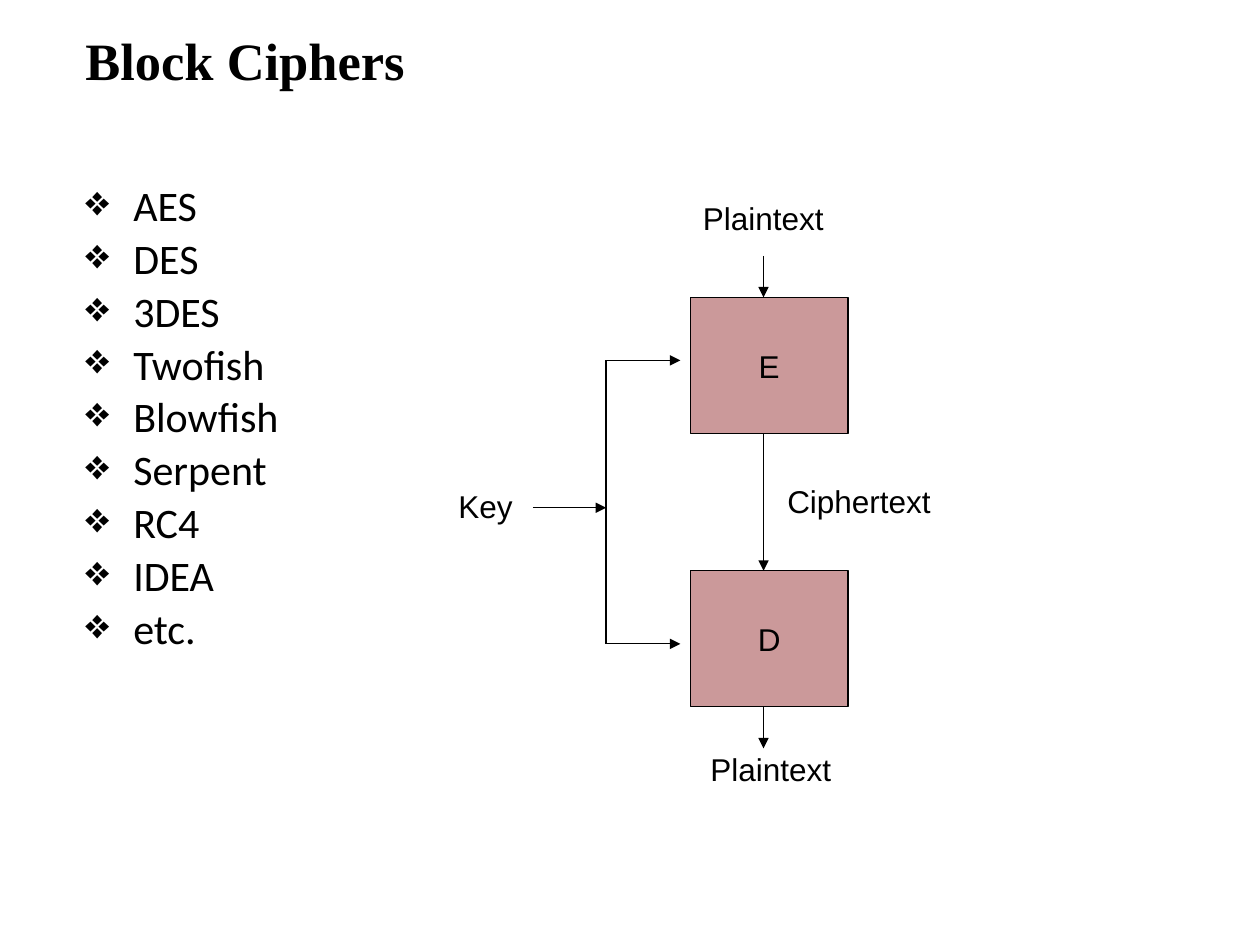
"""Build a slide on block ciphers with a list and a key flow diagram."""
from typing import NamedTuple

from lxml.etree import SubElement
from pptx import Presentation
from pptx.dml.color import RGBColor
from pptx.enum.shapes import MSO_CONNECTOR, MSO_SHAPE
from pptx.enum.text import MSO_ANCHOR, MSO_AUTO_SIZE, PP_ALIGN
from pptx.oxml.ns import qn
from pptx.util import Inches, Pt

BLACK = RGBColor(0, 0, 0)
ROSE = RGBColor(0xCB, 0x99, 0x9A)
FLOW = 6.06
FORK = 4.81
SIDE = 5.48
WIDE, HIGH = 1.25, 1.08
TOPS = {"E": 2.36, "D": 4.53}


class Label(NamedTuple):
    text: str
    left: float
    top: float
    width: float


class Line(NamedTuple):
    start: tuple[float, float]
    end: tuple[float, float]
    arrow: bool = True


CIPHERS = ["AES", "DES", "3DES", "Twofish", "Blowfish", "Serpent", "RC4", "IDEA", "etc."]
LABELS = [
    Label("Plaintext", SIDE, 1.53, 1.16),
    Label("Plaintext", 5.54, 5.9, 1.16),
    Label("Ciphertext", 6.15, 3.78, 1.34),
    Label("Key", 3.54, 3.82, 0.63),
]
LINES = [
    Line((FLOW, TOPS["E"] + HIGH), (FLOW, TOPS["D"])),
    Line((FLOW, TOPS["D"] + HIGH), (FLOW, 5.94)),
    Line((FLOW, 2.03), (FLOW, TOPS["E"])),
    Line((FORK, 5.11), (5.4, 5.11)),
    Line((FORK, 2.86), (5.4, 2.86)),
    Line((FORK, 2.86), (FORK, 5.11), arrow=False),
    Line((4.23, 4.03), (FORK, 4.03)),
]


def write(shape, text: str, *, font="Arial", size=18, bold=False, wrap=False,
          anchor=MSO_ANCHOR.TOP, align=PP_ALIGN.LEFT, grow=False) -> None:
    frame = shape.text_frame
    frame.text = text
    frame.word_wrap = wrap
    frame.vertical_anchor = anchor
    frame.auto_size = MSO_AUTO_SIZE.SHAPE_TO_FIT_TEXT if grow else MSO_AUTO_SIZE.NONE
    for para in frame.paragraphs:
        para.alignment = align
        for run in para.runs:
            run.font.name = font
            run.font.size = Pt(size)
            run.font.bold = bold
            run.font.color.rgb = BLACK


def add_text(slide, left: float, top: float, width: float, height: float, text: str, **style):
    box = slide.shapes.add_textbox(Inches(left), Inches(top), Inches(width), Inches(height))
    write(box, text, **style)
    return box


def add_list(slide, items: list[str]) -> None:
    box = add_text(slide, 0.58, 1.42, 4.4, 5.58, "\n".join(items),
                   font="Calibri", size=24, wrap=True)
    for para in box.text_frame.paragraphs:
        para.line_spacing = 0.9
        para.space_before = Pt(4.3)
        props = para._p.get_or_add_pPr()
        props.set("marL", str(Inches(0.38)))
        props.set("indent", str(-Inches(0.38)))
        tint = SubElement(props, qn("a:buClr"))
        SubElement(tint, qn("a:srgbClr"), val=str(BLACK))
        SubElement(props, qn("a:buChar"), char="❖")


def add_block(slide, name: str, top: float) -> None:
    block = slide.shapes.add_shape(
        MSO_SHAPE.RECTANGLE, Inches(SIDE), Inches(top), Inches(WIDE), Inches(HIGH))
    block.shadow.inherit = False
    block.fill.solid()
    block.fill.fore_color.rgb = ROSE
    block.line.color.rgb = BLACK
    block.line.width = Pt(0.75)
    write(block, name, anchor=MSO_ANCHOR.MIDDLE, align=PP_ALIGN.CENTER)


def add_line(slide, line: Line) -> None:
    ends = [Inches(value) for value in line.start + line.end]
    link = slide.shapes.add_connector(MSO_CONNECTOR.STRAIGHT, *ends)
    link.line.color.rgb = BLACK
    link.line.width = Pt(0.75)
    if line.arrow:
        SubElement(link.line._get_or_add_ln(), qn("a:tailEnd"), type="triangle")
    SubElement(link._element.spPr, qn("a:effectLst"))


def main() -> None:
    deck = Presentation()
    deck.slide_width, deck.slide_height = Inches(10), Inches(7.5)
    slide = deck.slides.add_slide(deck.slide_layouts[6])
    add_text(slide, 0.58, 0.21, 7.75, 0.53, "Block Ciphers", font="Times New Roman",
             size=30, bold=True, wrap=True, anchor=MSO_ANCHOR.MIDDLE)
    add_list(slide, CIPHERS)
    for name, top in TOPS.items():
        add_block(slide, name, top)
    for line in LINES:
        add_line(slide, line)
    for label in LABELS:
        add_text(slide, label.left, label.top, label.width, 0.4, label.text, grow=True)
    deck.save("out.pptx")


if __name__ == "__main__":
    main()
